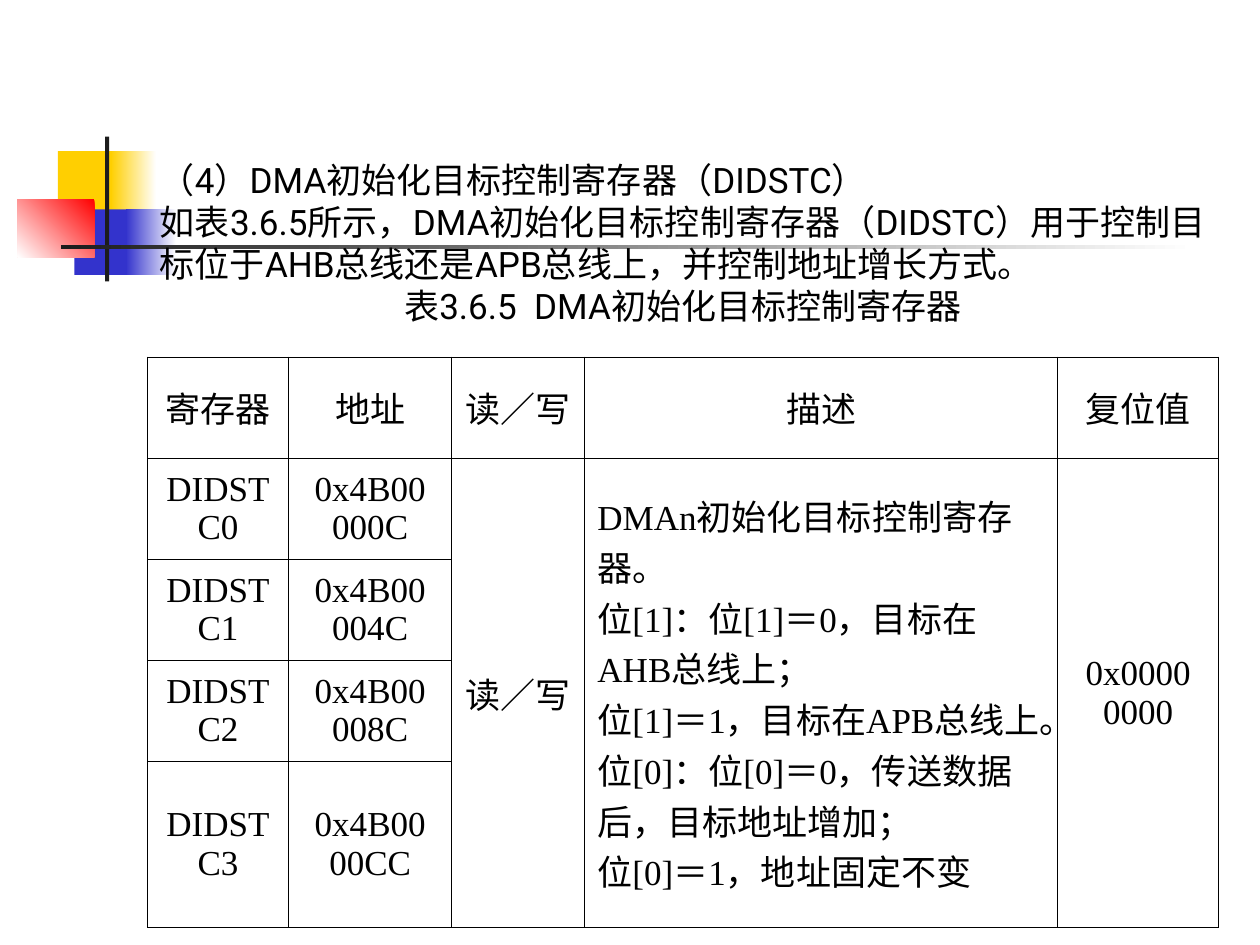
from lxml.etree import SubElement
from pptx import Presentation
from pptx.dml.color import RGBColor
from pptx.enum.shapes import MSO_SHAPE
from pptx.enum.text import MSO_ANCHOR, PP_ALIGN
from pptx.oxml.ns import qn
from pptx.util import Pt

BLACK = RGBColor(0x00, 0x00, 0x00)
WHITE = RGBColor(0xFF, 0xFF, 0xFF)
YELLOW = RGBColor(0xFF, 0xCF, 0x01)
BLUE = RGBColor(0x33, 0x33, 0xCC)
RED = RGBColor(0xFF, 0x00, 0x00)
DARK = RGBColor(0x1C, 0x1C, 0x1C)
LEFT, CENTER = PP_ALIGN.LEFT, PP_ALIGN.CENTER

DECORATION = [
    ((33.1, 86.4, 34.6, 37.4), [YELLOW], None),
    ((63.4, 86.4, 25.9, 37.4), [WHITE, YELLOW], 180),
    ((42.5, 119.7, 33.1, 37.4), [BLUE], None),
    ((72, 119.7, 28.8, 37.4), [WHITE, BLUE], 180),
    ((10, 113.8, 44, 33.1), [RED, WHITE], 225),
    ((60, 78, 2.4, 82.8), [DARK], None),
    ((34.8, 140.2, 648, 2.3), [WHITE, DARK], 180),
]
INTRO = [
    ("（4）DMA初始化目标控制寄存器（DIDSTC）", LEFT),
    ("如表3.6.5所示，DMA初始化目标控制寄存器（DIDSTC）用于控制目标位于"
     "AHB总线还是APB总线上，并控制地址增长方式。", LEFT),
    ("表3.6.5  DMA初始化目标控制寄存器", CENTER),
]
HEADERS = ["寄存器", "地址", "读／写", "描述", "复位值"]
REGISTERS = [
    ("DIDSTC0", "0x4B00 000C"),
    ("DIDSTC1", "0x4B00 004C"),
    ("DIDSTC2", "0x4B00 008C"),
    ("DIDSTC3", "0x4B00 00CC"),
]
DESCRIPTION = [
    "DMAn初始化目标控制寄存器。",
    "位[1]：位[1]＝0，目标在AHB总线上；",
    "位[1]＝1，目标在APB总线上。",
    "位[0]：位[0]＝0，传送数据后，目标地址增加；",
    "位[0]＝1，地址固定不变",
]
SHARED = {2: ["读／写"], 3: DESCRIPTION, 4: ["0x0000 0000"]}

X, WIDTH = 84.3, 612
INTRO_TOP, INTRO_HEIGHT = 87, 103.5
TABLE_TOP = 204
COLUMNS = [80.6, 93.3, 76, 270.3, 91.8]
ROWS = [57.8, 57.7, 57.7, 57.7, 95.1]
BORDER = 0.45


def write(tf, lines, font_name, spacing=None):
    for i, (text, align) in enumerate(lines):
        p = tf.paragraphs[0] if i == 0 else tf.add_paragraph()
        p.alignment = align
        if spacing:
            p.line_spacing = Pt(spacing)
        r = p.add_run()
        r.text = text
        for key, value in {"name": font_name, "size": Pt(20)}.items():
            setattr(r.font, key, value)
        r.font.color.rgb = BLACK


def add_block(s, box, colors, angle):
    sp = s.shapes.add_shape(MSO_SHAPE.RECTANGLE, *map(Pt, box))
    sp.shadow.inherit = False
    sp.line.fill.background()
    if angle is None:
        sp.fill.solid()
        sp.fill.fore_color.rgb = colors[0]
    else:
        sp.fill.gradient()
        sp.fill.gradient_angle = angle
        for stop, color in zip(sp.fill.gradient_stops, colors):
            stop.color.rgb = color


def format_cell(cell):
    cell.vertical_anchor = MSO_ANCHOR.MIDDLE
    tcPr = cell._tc.get_or_add_tcPr()
    for side in ("lnL", "lnR", "lnT", "lnB"):
        ln = SubElement(tcPr, qn(f"a:{side}"), w=str(Pt(BORDER)))
        fill = SubElement(ln, qn("a:solidFill"))
        SubElement(fill, qn("a:srgbClr"), val=str(BLACK))
    cell.fill.background()


def add_register_table(s):
    box = (X, TABLE_TOP, sum(COLUMNS), sum(ROWS))
    table = s.shapes.add_table(len(ROWS), len(COLUMNS), *map(Pt, box)).table
    table.first_row = table.horz_banding = False
    for column, width in zip(table.columns, COLUMNS):
        column.width = Pt(width)
    for row, height in zip(table.rows, ROWS):
        row.height = Pt(height)
    for cell in table.iter_cells():
        format_cell(cell)
    for i, texts in enumerate([HEADERS, *REGISTERS]):
        for j, text in enumerate(texts):
            write(table.cell(i, j).text_frame, [(text, CENTER)], "Times New Roman")
    for j, texts in SHARED.items():
        cell = table.cell(1, j)
        cell.merge(table.cell(len(ROWS) - 1, j))
        is_description = texts is DESCRIPTION
        align = LEFT if is_description else CENTER
        write(cell.text_frame, [(text, align) for text in texts],
              "Times New Roman", 29 if is_description else None)


def main():
    prs = Presentation()
    prs.slide_width, prs.slide_height = Pt(720), Pt(540)
    s = prs.slides.add_slide(prs.slide_layouts[6])
    for block in DECORATION:
        add_block(s, *block)
    add_register_table(s)
    intro = s.shapes.add_textbox(*map(Pt, (X, INTRO_TOP, WIDTH, INTRO_HEIGHT)))
    tf = intro.text_frame
    tf.word_wrap = True
    tf.vertical_anchor = MSO_ANCHOR.MIDDLE
    write(tf, INTRO, "Roboto", 24)
    prs.save("out.pptx")


if __name__ == "__main__":
    main()
